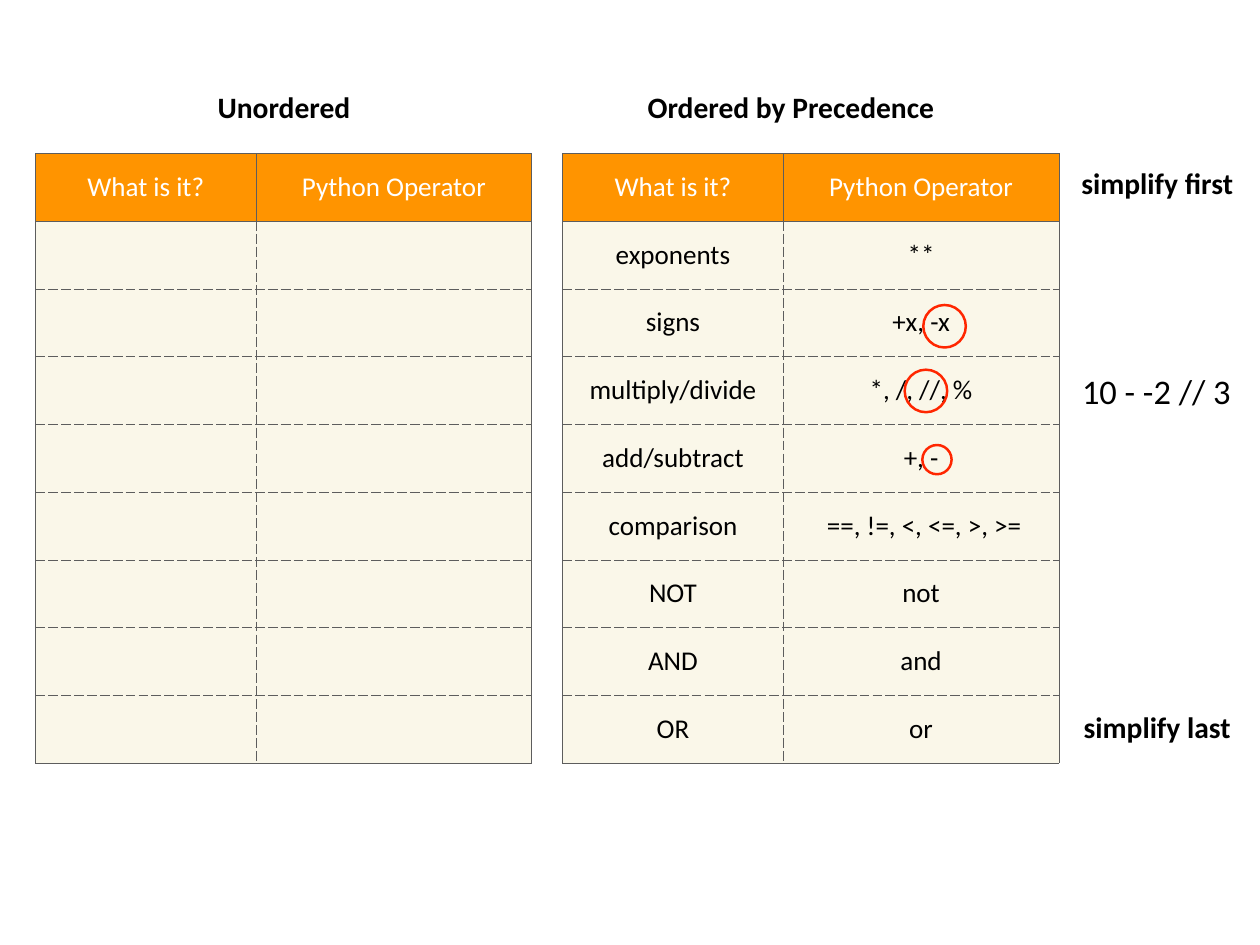
from dataclasses import dataclass

from lxml.etree import SubElement
from pptx import Presentation
from pptx.dml.color import RGBColor
from pptx.enum.shapes import MSO_SHAPE as Shape
from pptx.enum.text import MSO_ANCHOR as Anchor, MSO_AUTO_SIZE as AutoSize, PP_ALIGN as Align
from pptx.oxml.ns import qn
from pptx.slide import Slide
from pptx.table import _Cell as Cell
from pptx.text.text import TextFrame
from pptx.util import Inches, Pt

BLACK, WHITE = "000000", "FFFFFF"
ORANGE, CREAM, GREY, RED = "FF9400", "FAF7E9", "5D5D5D", "FF2600"

TABLE_TOP, TABLE_HEIGHT = 1.73, 6.88
COLUMN_WIDTHS = (2.49, 3.11)
HEADER = ("What is it?", "Python Operator")
UNORDERED = [("", "")] * 8
PRECEDENCE = [
    ("exponents", "**"),
    ("signs", "+x, -x"),
    ("multiply/divide", "*, /, //, %"),
    ("add/subtract", "+, -"),
    ("comparison", " ==, !=, <, <=, >, >="),
    ("NOT", "not"),
    ("AND", "and"),
    ("OR", "or"),
]


@dataclass
class Label:
    text: str
    left: float
    top: float
    width: float
    height: float = 0.51
    size: int = 24
    bold: bool = True


@dataclass
class Ring:
    left: float
    top: float
    diameter: float


LABELS = [
    Label("Unordered", 2.25, 0.95, 1.91),
    Label("Ordered by Precedence", 6.93, 0.95, 3.99),
    Label("simplify first", 11.95, 1.81, 2.22),
    Label("simplify last", 11.99, 7.94, 2.14),
    Label("10 - -2 // 3", 12.08, 4.12, 1.94, height=0.58, size=28, bold=False),
]
RINGS = [Ring(10.42, 3.44, 0.48), Ring(10.21, 4.17, 0.48), Ring(10.41, 5.02, 0.33)]


def color(value: str) -> RGBColor:
    return RGBColor.from_string(value)


def write(frame: TextFrame, text: str, *, size: int, ink: str = BLACK, bold: bool = False) -> None:
    para = frame.paragraphs[0]
    para.alignment = Align.CENTER
    span = para.add_run()
    span.text = text
    span.font.name = "Calibri"
    span.font.size = Pt(size)
    span.font.bold = bold
    span.font.color.rgb = color(ink)


def add_border(cell: Cell, side: str, dashed: bool) -> None:
    properties = cell._tc.get_or_add_tcPr()
    line = SubElement(properties, qn(f"a:ln{side}"), w=str(Pt(0.45)))
    fill = SubElement(line, qn("a:solidFill"))
    SubElement(fill, qn("a:srgbClr"), val=GREY)
    SubElement(line, qn("a:prstDash"), val="dash" if dashed else "solid")


def add_operator_table(page: Slide, left: float, body: list[tuple[str, str]]) -> None:
    rows = [HEADER, *body]
    last = len(rows) - 1
    table = page.shapes.add_table(
        len(rows), len(HEADER), Inches(left), Inches(TABLE_TOP),
        Inches(sum(COLUMN_WIDTHS)), Inches(TABLE_HEIGHT),
    ).table
    table.first_row = table.horz_banding = False
    for column, width in zip(table.columns, COLUMN_WIDTHS):
        column.width = Inches(width)
    for row, texts in enumerate(rows):
        for column, text in enumerate(texts):
            cell = table.cell(row, column)
            is_header = row == 0
            add_border(cell, "L", not is_header and column == 1)
            add_border(cell, "R", not is_header and column == 0)
            add_border(cell, "T", row > 1)
            add_border(cell, "B", 0 < row < last)
            cell.fill.solid()
            cell.fill.fore_color.rgb = color(ORANGE if is_header else CREAM)
            cell.vertical_anchor = Anchor.MIDDLE
            cell.margin_left = cell.margin_right = Inches(0.06)
            cell.margin_top = cell.margin_bottom = Inches(0.05)
            if text:
                write(cell.text_frame, text, size=22, ink=WHITE if is_header else BLACK)


def add_label(page: Slide, label: Label) -> None:
    box = page.shapes.add_textbox(
        Inches(label.left), Inches(label.top), Inches(label.width), Inches(label.height)
    )
    frame = box.text_frame
    frame.word_wrap = False
    frame.auto_size = AutoSize.SHAPE_TO_FIT_TEXT
    frame.vertical_anchor = Anchor.MIDDLE
    frame.margin_left = frame.margin_right = Inches(0.06)
    frame.margin_top = frame.margin_bottom = Inches(0.06)
    write(frame, label.text, size=label.size, bold=label.bold)


def add_ring(page: Slide, ring: Ring) -> None:
    diameter = Inches(ring.diameter)
    shape = page.shapes.add_shape(
        Shape.OVAL, Inches(ring.left), Inches(ring.top), diameter, diameter
    )
    shape.shadow.inherit = False
    shape.fill.background()
    shape.line.color.rgb = color(RED)
    shape.line.width = Pt(2)


def main() -> None:
    deck = Presentation()
    deck.slide_width, deck.slide_height = Inches(14.22), Inches(10.66)
    page = deck.slides.add_slide(deck.slide_layouts[6])
    add_operator_table(page, 0.4, UNORDERED)
    add_operator_table(page, 6.35, PRECEDENCE)
    for label in LABELS:
        add_label(page, label)
    for ring in RINGS:
        add_ring(page, ring)
    deck.save("out.pptx")


if __name__ == "__main__":
    main()
